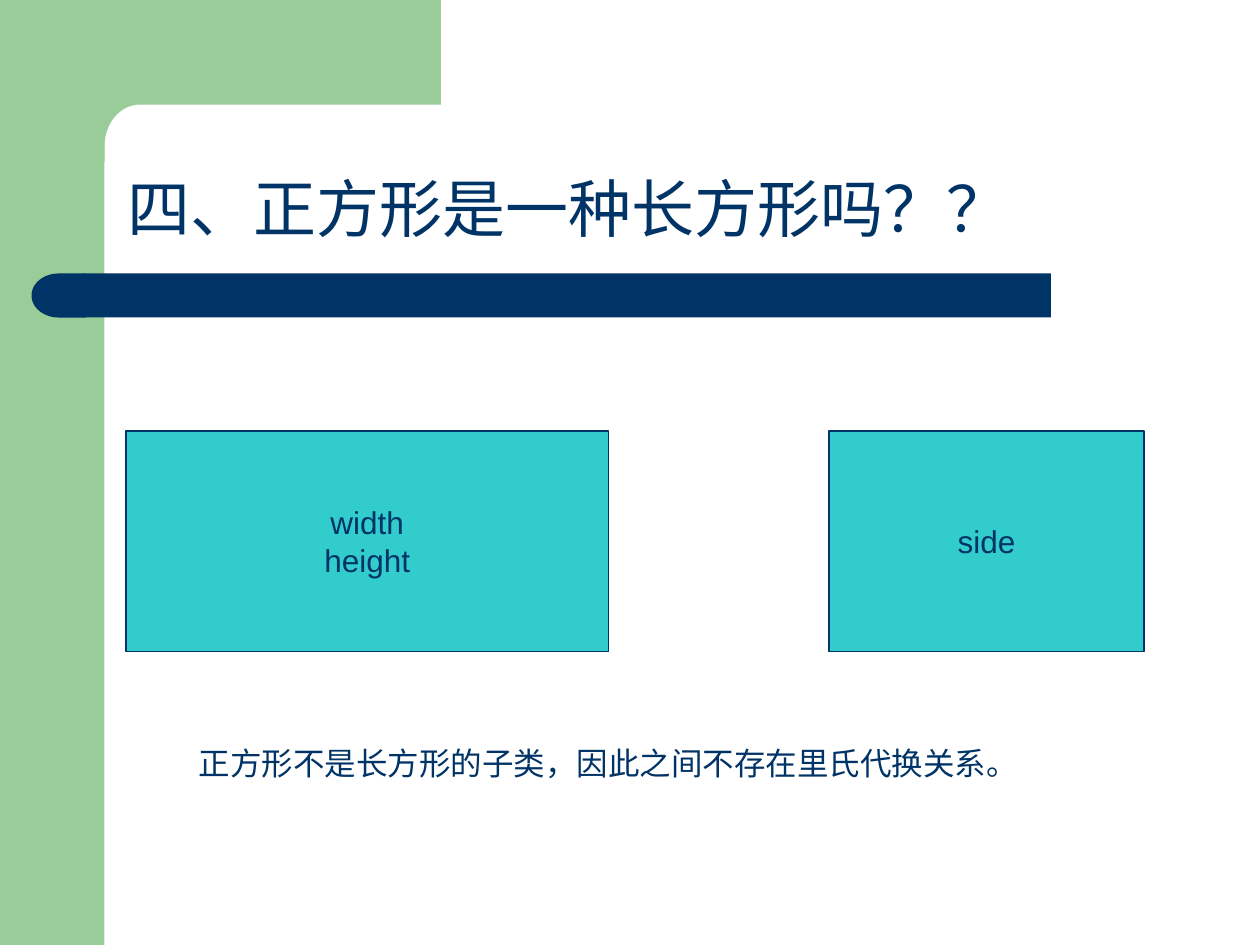
"""Build the slide asking whether a square is a kind of rectangle."""
from dataclasses import dataclass
from math import cos, pi, sin

from pptx import Presentation
from pptx.dml.color import RGBColor
from pptx.enum.shapes import MSO_SHAPE
from pptx.enum.text import MSO_ANCHOR, MSO_AUTO_SIZE, PP_ALIGN
from pptx.util import Inches, Pt

RECTANGLE = MSO_SHAPE.RECTANGLE
DELAY = MSO_SHAPE.FLOWCHART_DELAY
MIDDLE, BOTTOM = MSO_ANCHOR.MIDDLE, MSO_ANCHOR.BOTTOM
LEFT, CENTER = PP_ALIGN.LEFT, PP_ALIGN.CENTER
FIT_SHAPE = MSO_AUTO_SIZE.SHAPE_TO_FIT_TEXT


@dataclass(frozen=True)
class Theme:
    green: RGBColor = RGBColor(0x99, 0xCC, 0x99)
    navy: RGBColor = RGBColor(0x00, 0x33, 0x66)
    teal: RGBColor = RGBColor(0x33, 0xCC, 0xCC)
    font: str = "Arial"
    title_size: int = 36
    body_size: int = 18


theme = Theme()


def paint(shape, color):
    shape.shadow.inherit = False
    shape.fill.solid()
    shape.fill.fore_color.rgb = color
    shape.line.fill.background()


def write(shape, text, size, alignment=LEFT, wrap=False):
    text_frame = shape.text_frame
    text_frame.word_wrap = wrap
    text_frame.text = text
    for paragraph in text_frame.paragraphs:
        paragraph.alignment = alignment
        for run in paragraph.runs:
            run.font.name = theme.font
            run.font.size = Pt(size)
            run.font.color.rgb = theme.navy


presentation = Presentation()
presentation.slide_width = Inches(10)
presentation.slide_height = Inches(7.5)
slide = presentation.slides.add_slide(presentation.slide_layouts[6])
shapes = slide.shapes

side_band = shapes.add_shape(RECTANGLE, 0, 0, Inches(0.83), Inches(7.5))
paint(side_band, theme.green)

center_x, center_y, radius_x, radius_y, steps = 1.11, 1.16, 0.28, 0.33, 24
corner = [
    (center_x - radius_x * sin(pi / 2 * step / steps),
     center_y - radius_y * cos(pi / 2 * step / steps))
    for step in range(steps + 1)
]
outline = [(3.5, 0.83), *corner, (0.83, 1.28), (0.5, 1.28), (0.5, 0)]
builder = shapes.build_freeform(Inches(3.5), 0)
builder.add_line_segments([(Inches(x), Inches(y)) for x, y in outline], close=True)
paint(builder.convert_to_shape(), theme.green)

bar = shapes.add_shape(RECTANGLE, Inches(0.67), Inches(2.17), Inches(7.67), Inches(0.35))
paint(bar, theme.navy)
bar_cap = shapes.add_shape(DELAY, Inches(0.25), Inches(2.17), Inches(0.43), Inches(0.35))
bar_cap.rotation = 180
paint(bar_cap, theme.navy)

title = shapes.add_textbox(Inches(0.91), Inches(0.91), Inches(8.51), Inches(1.09))
write(title, "四、正方形是一种长方形吗？？", theme.title_size, wrap=True)
title.text_frame.vertical_anchor = BOTTOM
title.text_frame.paragraphs[0].line_spacing = 0.9

for left, width, fields in [(1, 3.83, "width\nheight"), (6.58, 2.5, "side")]:
    box = shapes.add_shape(RECTANGLE, Inches(left), Inches(3.42), Inches(width), Inches(1.75))
    paint(box, theme.teal)
    box.line.color.rgb = theme.navy
    box.line.width = Pt(0.75)
    write(box, fields, theme.body_size, CENTER)
    box.text_frame.vertical_anchor = MIDDLE

conclusion = shapes.add_textbox(Inches(1.48), Inches(5.86), Inches(6.7), Inches(0.4))
write(conclusion, "正方形不是长方形的子类，因此之间不存在里氏代换关系。", theme.body_size)
conclusion.text_frame.auto_size = FIT_SHAPE

presentation.save("out.pptx")
